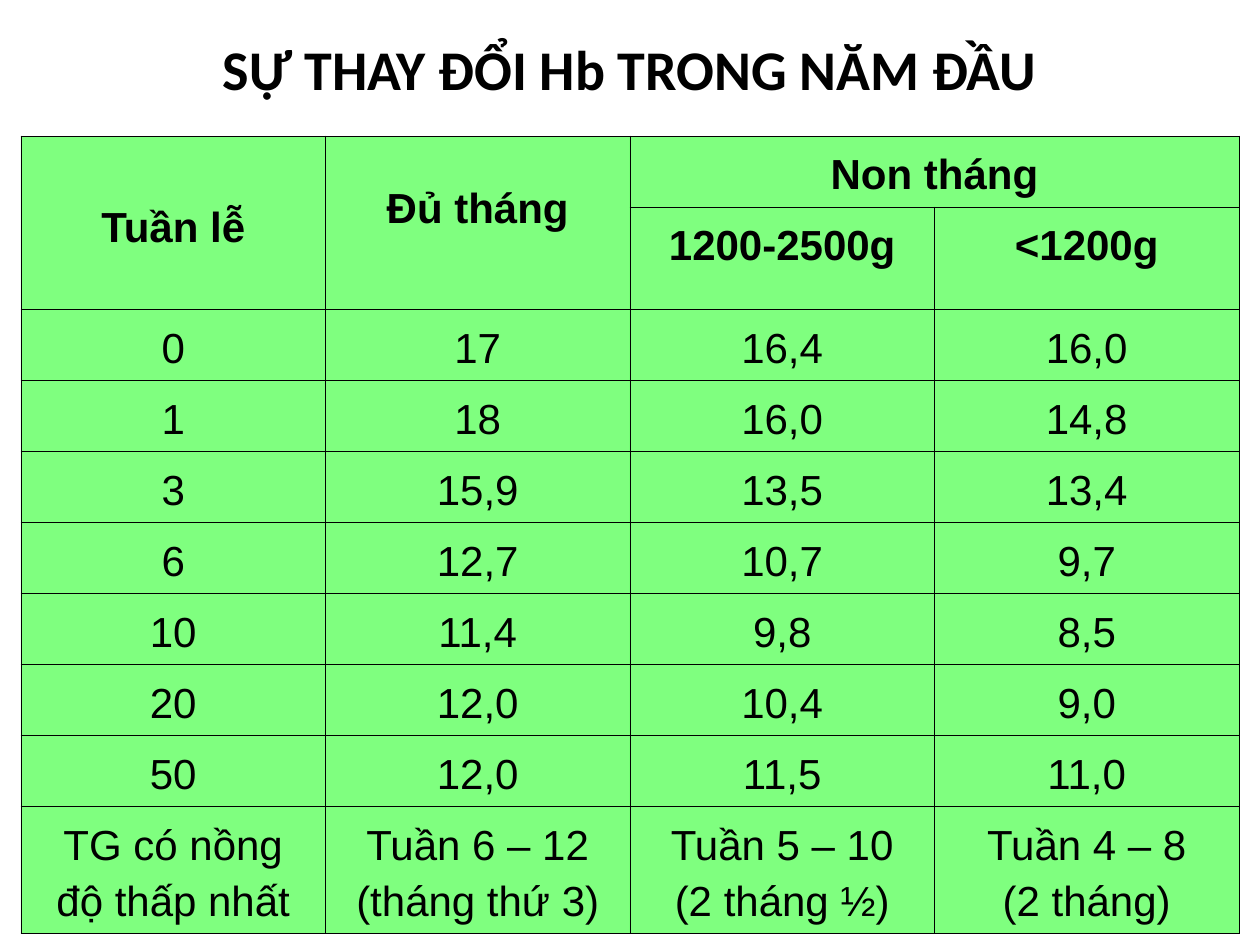
from lxml import etree
from pptx import Presentation
from pptx import util as u
from pptx.dml.color import RGBColor
from pptx.enum import text
from pptx.oxml.ns import qn

PX = 914400 / 126
BLACK, GREEN = "000000", "00FF00"
HEADER_ROWS = 2
ROW_HEIGHTS = [71, 96] + [71] * 7 + [127]
ROWS = [
    ["Tuần lễ", "Đủ tháng", "Non tháng", ""],
    ["", "", "1200-2500g", "<1200g"],
    ["0", "17", "16,4", "16,0"],
    ["1", "18", "16,0", "14,8"],
    ["3", "15,9", "13,5", "13,4"],
    ["6", "12,7", "10,7", "9,7"],
    ["10", "11,4", "9,8", "8,5"],
    ["20", "12,0", "10,4", "9,0"],
    ["50", "12,0", "11,5", "11,0"],
    ["TG có nồng\nđộ thấp nhất", "Tuần 6 – 12\n(tháng thứ 3)",
     "Tuần 5 – 10\n(2 tháng ½)", "Tuần 4 – 8\n(2 tháng)"],
]


def px(length):
    return u.Emu(round(length * PX))


def color(value):
    return RGBColor.from_string(value)


def set_font(para, name, size, bold):
    para.alignment = text.PP_ALIGN.CENTER
    para.font.name = name
    para.font.size = u.Pt(size)
    para.font.bold = bold
    para.font.color.rgb = color(BLACK)


def add_title(page, left, top, width, height):
    title = page.shapes.title
    title.left, title.top = px(left), px(top)
    title.width, title.height = px(width), px(height)
    title.text_frame.text = "SỰ THAY ĐỔI Hb TRONG NĂM ĐẦU"
    title.text_frame.vertical_anchor = text.MSO_ANCHOR.MIDDLE
    set_font(title.text_frame.paragraphs[0], "Calibri", 32, True)


def set_borders(cell, width):
    properties = cell._tc.get_or_add_tcPr()
    for side in ("lnL", "lnR", "lnT", "lnB"):
        line = etree.SubElement(properties, qn(f"a:{side}"), w=str(u.Pt(width)))
        fill = etree.SubElement(line, qn("a:solidFill"))
        etree.SubElement(fill, qn("a:srgbClr"), val=BLACK)


def set_fill(cell, value, opacity):
    cell.fill.solid()
    cell.fill.fore_color.rgb = color(value)
    shade = cell._tc.tcPr.find(qn("a:solidFill")).find(qn("a:srgbClr"))
    etree.SubElement(shade, qn("a:alpha"), val=str(opacity * 1000))


def add_hb_table(page, left, top, width):
    columns = len(ROWS[0])
    table = page.shapes.add_table(
        len(ROWS), columns, px(left), px(top), px(width), px(sum(ROW_HEIGHTS))
    ).table
    table.first_row = table.horz_banding = False
    for column in table.columns:
        column.width = px(width / columns)
    for r, (height, labels) in enumerate(zip(ROW_HEIGHTS, ROWS)):
        table.rows[r].height = px(height)
        for c, label in enumerate(labels):
            cell = table.cell(r, c)
            set_borders(cell, 0.45)
            set_fill(cell, GREEN, 50)
            cell.text = label
            for para in cell.text_frame.paragraphs:
                para.line_spacing = 1.2
                set_font(para, "Arial", 24, r < HEADER_ROWS)
    week, full_term, preterm = (table.cell(0, c) for c in range(3))
    week.merge(table.cell(1, 0))
    full_term.merge(table.cell(1, 1))
    preterm.merge(table.cell(0, 3))
    week.vertical_anchor = text.MSO_ANCHOR.MIDDLE
    full_term.margin_top = px(40)


def main():
    deck = Presentation()
    deck.slide_width, deck.slide_height = px(1260), px(945)
    page = deck.slides.add_slide(deck.slide_layouts.get_by_name("Title Only"))
    add_title(page, 0, 0, 1260, 136)
    add_hb_table(page, 21, 136, 1218)
    deck.save("out.pptx")


if __name__ == "__main__":
    main()
